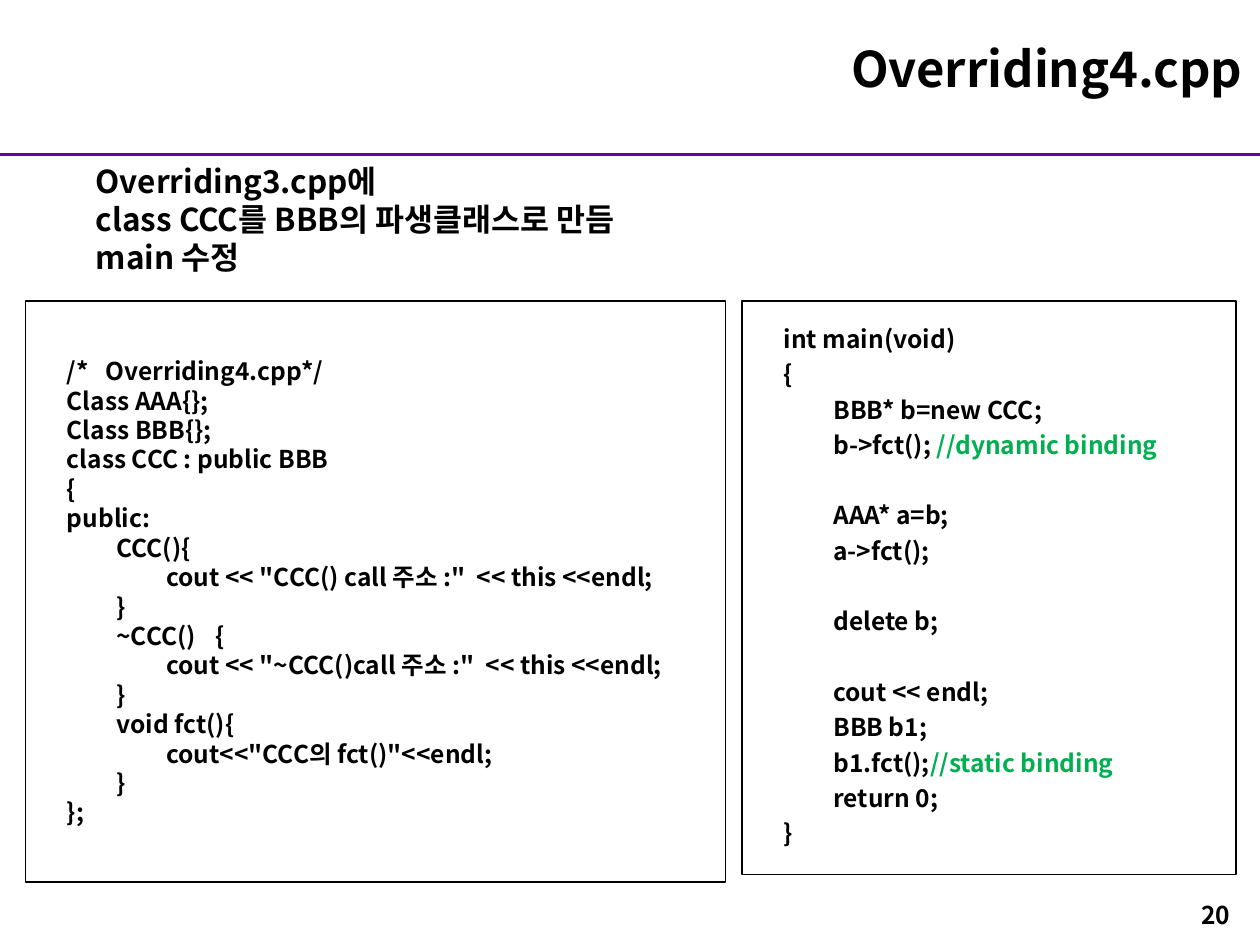
import pptx
import pptx.dml.color
import pptx.enum.shapes
import pptx.enum.text
import pptx.oxml
import pptx.util
from pptx.util import Cm

FONT = "Noto Sans CJK KR"
BLACK, GREEN, PURPLE, WHITE = "000000", "00B050", "6400A8", "FFFFFF"
LINE_GAP = 20.2  # points, one empty line of code at 1.2 spacing
ANCHOR = pptx.enum.text.MSO_ANCHOR
ALIGN = pptx.enum.text.PP_ALIGN
rgb = pptx.dml.color.RGBColor.from_string


def add_run(paragraph, text, size, color=BLACK):
    run = paragraph.add_run()
    run.text = text
    run.font.name = FONT
    run.font.size = pptx.util.Pt(size)
    run.font.bold = True
    run.font.color.rgb = rgb(color)
    for tag in ("ea", "cs"):
        face = pptx.oxml.parse_xml(
            '<a:%s xmlns:a="http://schemas.openxmlformats.org/drawingml/2006/main" '
            'typeface="%s"/>' % (tag, FONT))
        run.font._element.append(face)


deck = pptx.Presentation()
deck.slide_width, deck.slide_height = Cm(25.4), Cm(19.05)
slide = deck.slides.add_slide(deck.slide_layouts[5])

rule = slide.shapes.add_connector(
    pptx.enum.shapes.MSO_CONNECTOR.STRAIGHT, 0, Cm(3.12), deck.slide_width, Cm(3.12))
rule.line.color.rgb = rgb(PURPLE)
rule.line.width = pptx.util.Pt(1.5)
rule._element.spPr.append(pptx.oxml.parse_xml(
    '<a:effectLst xmlns:a="http://schemas.openxmlformats.org/drawingml/2006/main"/>'))

title = slide.shapes.title
title.left, title.top, title.width, title.height = Cm(6.71), Cm(0.64), Cm(18.59), Cm(1.45)
title.text_frame.vertical_anchor = ANCHOR.MIDDLE
heading = title.text_frame.paragraphs[0]
heading.alignment = ALIGN.RIGHT
add_run(heading, "Overriding4.cpp", 28)

class_code = """/*   Overriding4.cpp*/
Class AAA{};
Class BBB{};
class CCC : public BBB
{
public:
\tCCC(){
\t\tcout << "CCC() call 주소 :"  << this <<endl;
\t}
\t~CCC()\t{
\t\tcout << "~CCC()call 주소 :"  << this <<endl;
\t}
\tvoid fct(){
\t\tcout<<"CCC의 fct()"<<endl;
\t}
};"""
main_code = """int main(void)
{
\tBBB* b=new CCC;
\tb->fct(); //dynamic binding

\tAAA* a=b;
\ta->fct();

\tdelete b;

\tcout << endl;
\tBBB b1;
\tb1.fct();//static binding
\treturn 0;
}"""

# left, width, height, top inset, bottom inset, line spacing
panels = [
    (class_code, 0.51, 14.12, 11.71, 0.2, 0.2, 1.0),
    (main_code, 14.96, 9.96, 11.56, 0.33, 0.53, 1.2),
]
for code, left, width, height, inset_top, inset_bottom, spacing in panels:
    panel = slide.shapes.add_shape(
        pptx.enum.shapes.MSO_SHAPE.RECTANGLE, Cm(left), Cm(6.07), Cm(width), Cm(height))
    panel.shadow.inherit = False
    panel.fill.solid()
    panel.fill.fore_color.rgb = rgb(WHITE)
    panel.line.color.rgb = rgb(BLACK)
    panel.line.width = pptx.util.Pt(0.75)
    frame = panel.text_frame
    frame.word_wrap = True
    frame.vertical_anchor = ANCHOR.MIDDLE
    frame.margin_left, frame.margin_right = Cm(0.84), Cm(0.25)
    frame.margin_top, frame.margin_bottom = Cm(inset_top), Cm(inset_bottom)

    paragraph, gap = frame.paragraphs[0], 0
    for number, line in enumerate(code.split("\n")):
        if not line:
            gap = LINE_GAP
            continue
        if number:
            paragraph = frame.add_paragraph()
        paragraph.alignment = ALIGN.LEFT
        paragraph.line_spacing = spacing
        paragraph.space_before = pptx.util.Pt(gap)
        gap = 0
        stops = "".join('<a:tab pos="%d" algn="l"/>' % Cm(stop) for stop in (1, 2, 3))
        paragraph._p.get_or_add_pPr().append(pptx.oxml.parse_xml(
            '<a:tabLst xmlns:a="http://schemas.openxmlformats.org/drawingml/2006/main">'
            + stops + "</a:tabLst>"))
        statement, slashes, comment = line.partition("//")
        add_run(paragraph, statement, 14)
        if slashes:
            add_run(paragraph, slashes + comment, 14, GREEN)

summary = slide.shapes.add_textbox(Cm(1.68), Cm(3.15), Cm(11.79), Cm(2.57)).text_frame
summary.word_wrap = False
for number, line in enumerate(
        ["Overriding3.cpp에", "class CCC를 BBB의 파생클래스로 만듬", "main 수정"]):
    paragraph = summary.add_paragraph() if number else summary.paragraphs[0]
    add_run(paragraph, line, 18)

page = slide.shapes.add_textbox(Cm(19.13), Cm(18.01), Cm(5.92), Cm(1.32)).text_frame
page.word_wrap = True
page.paragraphs[0].alignment = ALIGN.RIGHT
add_run(page.paragraphs[0], "20", 14)

deck.save("out.pptx")
